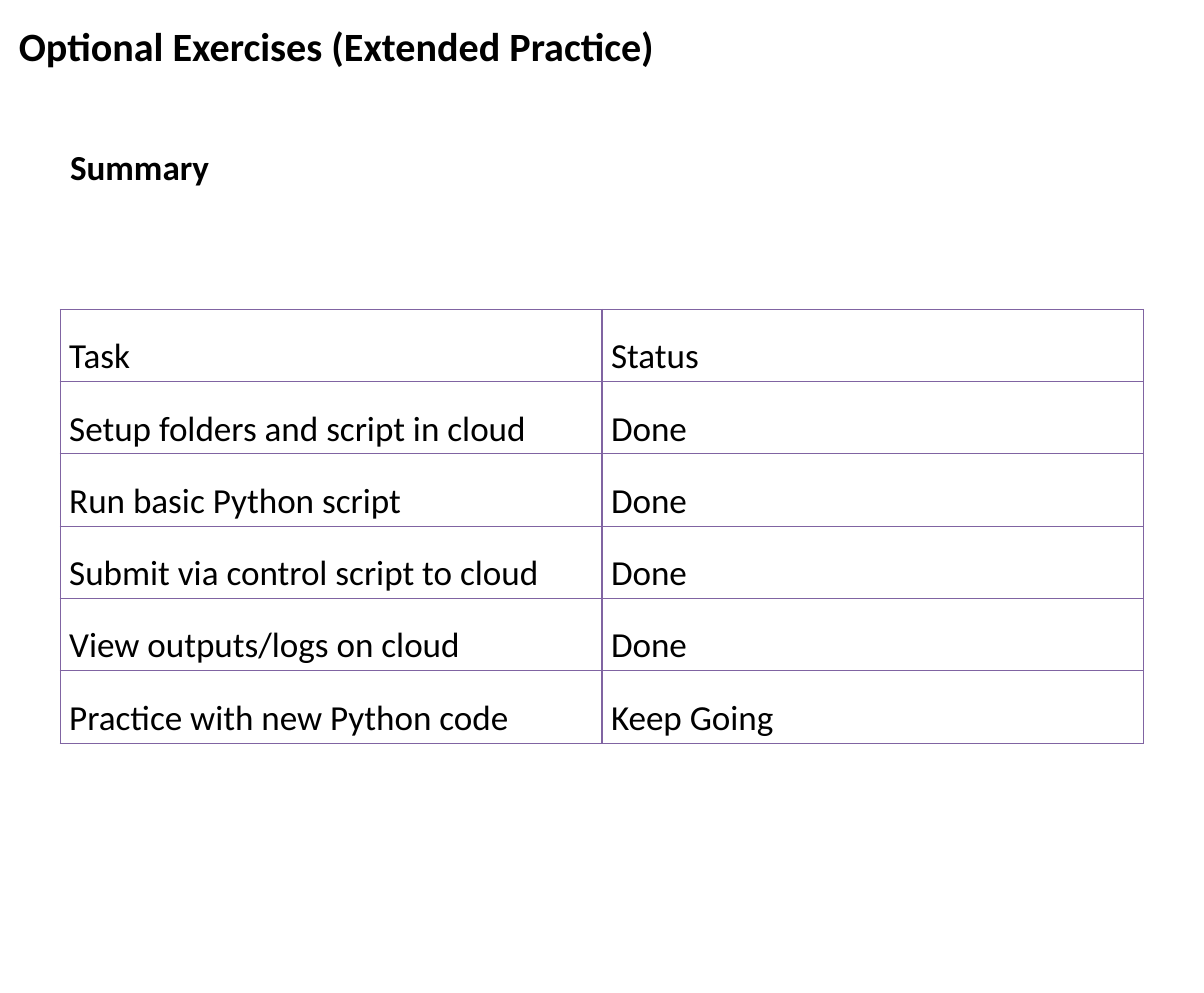
import pptx
import pptx.dml.color
import pptx.enum.text
import pptx.oxml
import pptx.oxml.ns
import pptx.util

PX = 9525  # EMU in one px, 96 px to the inch
THEME = {
    "font": "Calibri",
    "text": "000000",
    "border": "8064A2",
    "border_pt": 1,
    "title_pt": 32,
    "body_pt": 28,
}
MIDDLE = pptx.enum.text.MSO_ANCHOR.MIDDLE


def write(tf, text, size, bold=False, spacing=None):
    p = tf.paragraphs[0]
    p.line_spacing = spacing
    r = p.add_run()
    r.text = text
    r.font.name = THEME["font"]
    r.font.size = pptx.util.Pt(size)
    r.font.bold = bold
    r.font.color.rgb = pptx.dml.color.RGBColor.from_string(THEME["text"])


def add_borders(cell):
    width = pptx.util.Pt(THEME["border_pt"])
    tc_pr = cell._tc.get_or_add_tcPr()
    for i, side in enumerate(("lnL", "lnR", "lnT", "lnB")):
        line = pptx.oxml.parse_xml(
            f'<a:{side} {pptx.oxml.ns.nsdecls("a")} w="{width}"><a:solidFill>'
            f'<a:srgbClr val="{THEME["border"]}"/></a:solidFill></a:{side}>'
        )
        tc_pr.insert(i, line)


prs = pptx.Presentation()
prs.slide_width = 1280 * PX
prs.slide_height = 1056 * PX
s = prs.slides.add_slide(prs.slide_layouts[6])

# Title
tf = s.shapes.add_textbox(20 * PX, 22 * PX, 1092 * PX, 53 * PX).text_frame
tf.word_wrap = True
tf.margin_left = tf.margin_right = tf.margin_bottom = 0
tf.margin_top = 1 * PX
write(tf, "Optional Exercises (Extended Practice)", THEME["title_pt"], bold=True)

# Section heading
tf = s.shapes.add_textbox(65 * PX, 150 * PX, 169 * PX, 55 * PX).text_frame
tf.word_wrap = False
tf.vertical_anchor = MIDDLE
write(tf, "Summary", THEME["body_pt"], bold=True)

# Task table
tasks = [
    ("Task", "Status"),
    ("Setup folders and script in cloud", "Done"),
    ("Run basic Python script", "Done"),
    ("Submit via control script to cloud", "Done"),
    ("View outputs/logs on cloud", "Done"),
    ("Practice with new Python code", "Keep Going"),
]
table = s.shapes.add_table(
    len(tasks), 2, 64 * PX, 329 * PX, 1152 * PX, len(tasks) * 70 * PX
).table
table.first_row = False
table.horz_banding = False
for row, texts in zip(table.rows, tasks):
    for cell, text in zip(row.cells, texts):
        cell.fill.background()
        cell.vertical_anchor = MIDDLE
        add_borders(cell)
        write(cell.text_frame, text, THEME["body_pt"], spacing=1.5)

prs.save("out.pptx")
